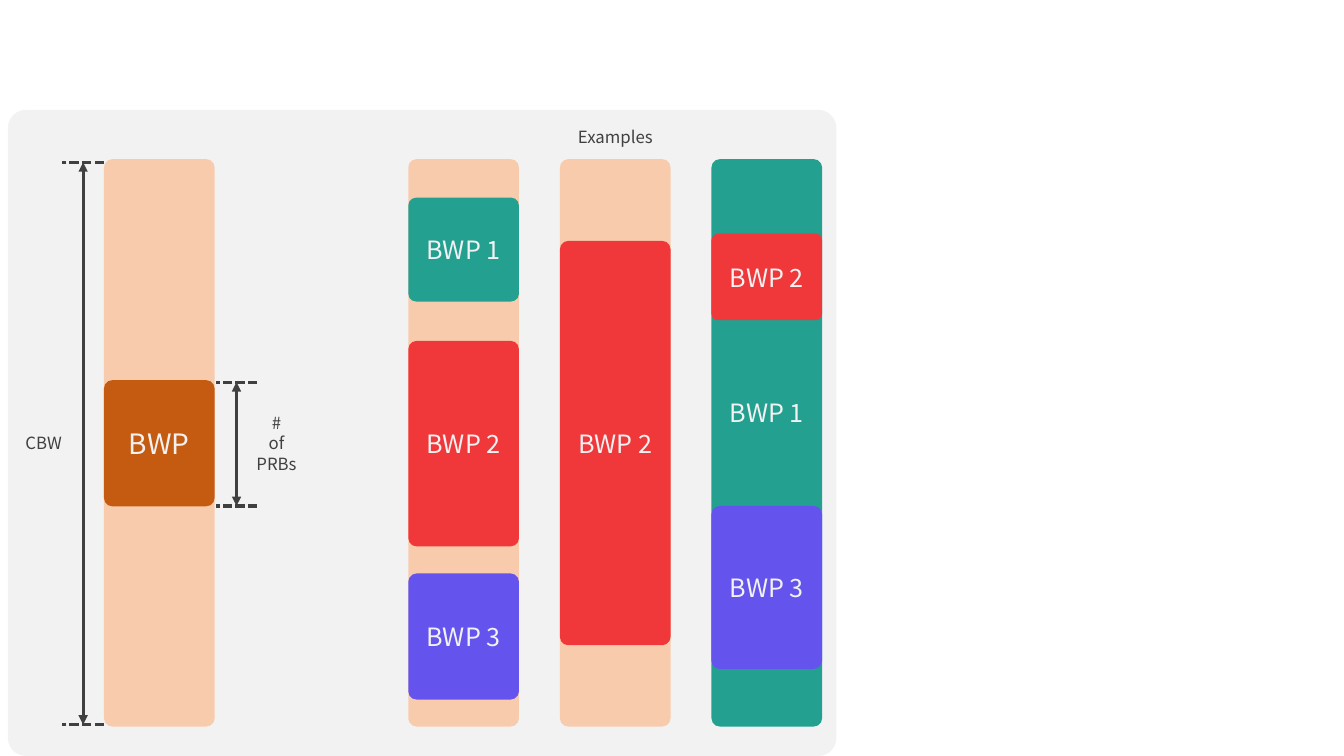
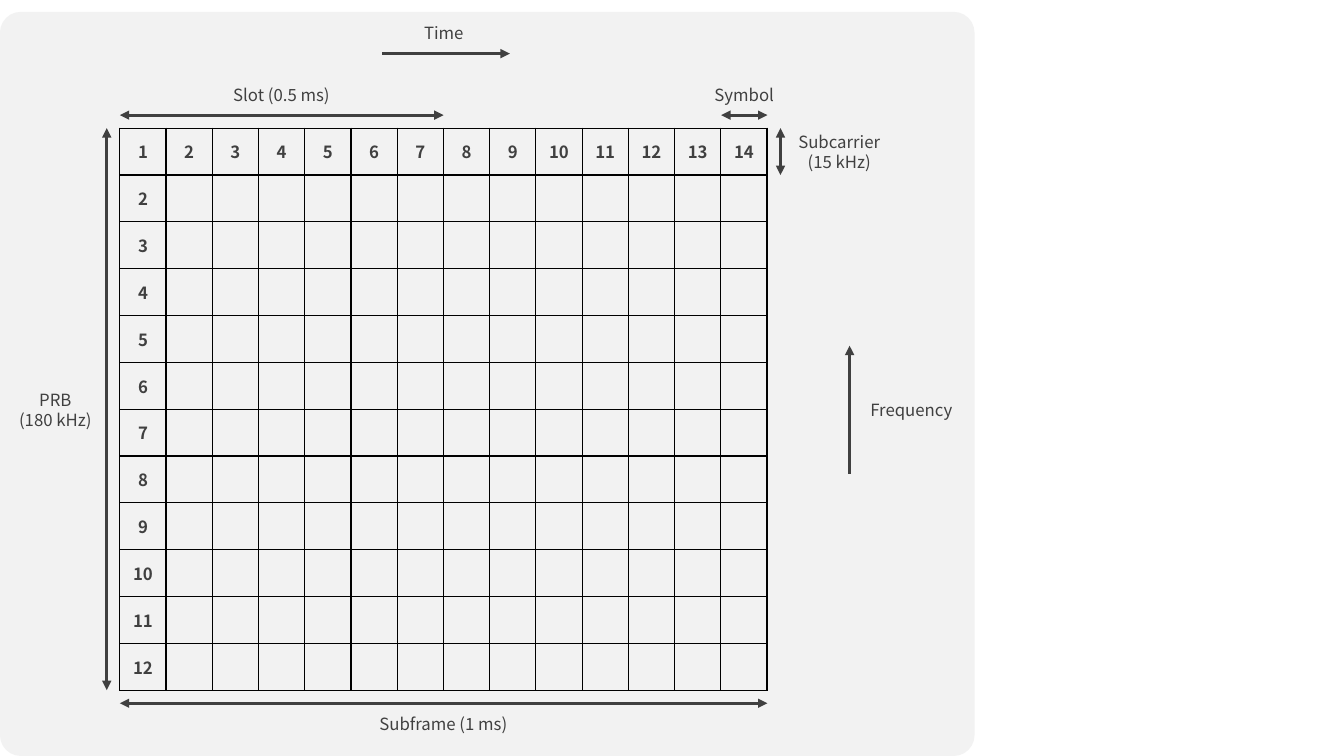
from lxml import etree
from pptx import Presentation
from pptx.dml.color import RGBColor
from pptx.enum import dml, shapes, text
from pptx.oxml import ns
from pptx.util import Cm, Pt

FONT = "Noto Sans CJK KR"
PANEL = RGBColor(0xF2, 0xF2, 0xF2)
INK = RGBColor(0x40, 0x40, 0x40)
GRID = RGBColor(0x00, 0x00, 0x00)
PEACH = RGBColor(0xF8, 0xCB, 0xAD)
BROWN = RGBColor(0xC5, 0x5A, 0x11)
RED = RGBColor(0xF0, 0x38, 0x3B)
TEAL = RGBColor(0x24, 0xA0, 0x91)
VIOLET = RGBColor(0x64, 0x54, 0xED)

FRAME = {
    "word_wrap": True,
    "vertical_anchor": text.MSO_ANCHOR.MIDDLE,
    "margin_left": 0,
    "margin_right": 0,
    "margin_top": 0,
    "margin_bottom": 0,
}
CAPTION = {"name": FONT, "size": Pt(12)}
CELL = {"name": FONT, "size": Pt(12), "bold": True}
BLOCK = {"name": FONT, "size": Pt(18)}
LARGE_BLOCK = {"name": FONT, "size": Pt(20)}

PANEL_ROUNDING = 0.028
BAR_ROUNDING = 0.076
BAR_TOP, BAR_WIDTH, BAR_HEIGHT = 4.01, 2.79, 14.3
CHANNEL_LEFT = 2.62
EXAMPLES_LEFT, EXAMPLES_PITCH = 10.29, 3.82
EXAMPLES = [
    (PEACH, [("BWP 1", TEAL, 4.98, 2.62), ("BWP 2", RED, 8.59, 5.18),
             ("BWP 3", VIOLET, 14.45, 3.18)]),
    (PEACH, [("BWP 2", RED, 6.07, 10.19)]),
    (TEAL, [("BWP 2", RED, 5.89, 2.18), ("BWP 3", VIOLET, 12.75, 4.11)]),
]

COLUMNS, ROWS = 14, 12
GRID_LEFT, GRID_TOP, GRID_WIDTH, GRID_HEIGHT = 3.02, 3.23, 16.32, 14.16
ARROW_GAP = 0.33


def set_all(target, values):
    for name, value in values.items():
        setattr(target, name, value)


def write(frame, content, font, color):
    for index, line in enumerate(content.split("\n")):
        paragraph = frame.add_paragraph() if index else frame.paragraphs[0]
        paragraph.alignment = text.PP_ALIGN.CENTER
        run = paragraph.add_run()
        run.text = line
        set_all(run.font, font)
        run.font.color.rgb = color


def add_label(slide, content, left, top, width, height, font=CAPTION, color=INK):
    box = slide.shapes.add_textbox(Cm(left), Cm(top), Cm(width), Cm(height))
    set_all(box.text_frame, FRAME)
    write(box.text_frame, content, font, color)


def add_rounded(slide, left, top, width, height, color, rounding):
    shape = slide.shapes.add_shape(
        shapes.MSO_SHAPE.ROUNDED_RECTANGLE, Cm(left), Cm(top), Cm(width), Cm(height))
    shape.adjustments[0] = rounding
    shape.shadow.inherit = False
    shape.fill.solid()
    shape.fill.fore_color.rgb = color
    shape.line.fill.background()
    return shape


def add_bar(slide, left, color):
    add_rounded(slide, left, BAR_TOP, BAR_WIDTH, BAR_HEIGHT, color, BAR_ROUNDING)


def add_block(slide, content, left, top, height, color, font=BLOCK):
    shape = add_rounded(slide, left, top, BAR_WIDTH, height, color, BAR_ROUNDING)
    set_all(shape.text_frame, FRAME)
    write(shape.text_frame, content, font, PANEL)


def add_line(slide, start, end, arrows=(), dash=None):
    points = [Cm(value) for value in (*start, *end)]
    connector = slide.shapes.add_connector(shapes.MSO_CONNECTOR.STRAIGHT, *points)
    connector.line.color.rgb = INK
    set_all(connector.line, {"width": Pt(2.25), "dash_style": dash})
    outline = connector.line._get_or_add_ln()
    for arrow in arrows:
        etree.SubElement(outline, ns.qn(f"a:{arrow}"), type="triangle")
    etree.SubElement(connector._element.spPr, ns.qn("a:effectLst"))


def add_double_arrow(slide, start, end):
    add_line(slide, start, end, ("headEnd", "tailEnd"))


def add_extent(slide, left, right, top, bottom):
    for level in (top, bottom):
        add_line(slide, (right, level), (left, level), dash=dml.MSO_LINE.SQUARE_DOT)
    middle = (left + right) / 2
    add_double_arrow(slide, (middle, top), (middle, bottom))


def set_borders(cell):
    properties = cell._tc.get_or_add_tcPr()
    for position, side in enumerate(("lnL", "lnR", "lnT", "lnB")):
        border = etree.Element(ns.qn(f"a:{side}"), w=str(Pt(1)))
        fill = etree.SubElement(border, ns.qn("a:solidFill"))
        etree.SubElement(fill, ns.qn("a:srgbClr"), val=str(GRID))
        properties.insert(position, border)


def add_resource_grid(slide):
    table = slide.shapes.add_table(
        ROWS, COLUMNS, Cm(GRID_LEFT), Cm(GRID_TOP), Cm(GRID_WIDTH), Cm(GRID_HEIGHT)).table
    set_all(table, {"first_row": False, "horz_banding": False})
    for column in table.columns:
        column.width = Cm(GRID_WIDTH / COLUMNS)
    for row in table.rows:
        row.height = Cm(GRID_HEIGHT / ROWS)
    for row in range(ROWS):
        for column in range(COLUMNS):
            cell = table.cell(row, column)
            cell.fill.background()
            cell.vertical_anchor = text.MSO_ANCHOR.MIDDLE
            set_borders(cell)
            if row == 0 or column == 0:
                write(cell.text_frame, str(row + column + 1), CELL, INK)


def add_bandwidth_slide(slide):
    add_rounded(slide, 0.2, 2.77, 20.88, 16.28, PANEL, PANEL_ROUNDING)
    add_bar(slide, CHANNEL_LEFT, PEACH)
    add_block(slide, "BWP", CHANNEL_LEFT, 9.58, 3.18, BROWN, LARGE_BLOCK)
    add_label(slide, "CBW", 0.2, 10.08, 1.8, 2.18)
    add_extent(slide, 1.57, CHANNEL_LEFT, 4.09, 18.26)
    add_extent(slide, 5.44, 6.48, 9.63, 12.75)
    add_label(slide, "#\nof\nPRBs", 6.07, 9.58, 1.8, 3.18)
    for index, (bar_color, blocks) in enumerate(EXAMPLES):
        left = EXAMPLES_LEFT + index * EXAMPLES_PITCH
        add_bar(slide, left, bar_color)
        for content, color, top, height in blocks:
            add_block(slide, content, left, top, height, color)
    add_label(slide, "BWP 1", left, 9.3, BAR_WIDTH, 2.18, BLOCK, PANEL)
    add_label(slide, "Examples", 12.78, 3, 5.46, 0.89)


def add_grid_slide(slide):
    right, bottom = GRID_LEFT + GRID_WIDTH, GRID_TOP + GRID_HEIGHT
    column, row = GRID_WIDTH / COLUMNS, GRID_HEIGHT / ROWS
    above, below = GRID_TOP - ARROW_GAP, bottom + ARROW_GAP
    before, after = GRID_LEFT - ARROW_GAP, right + ARROW_GAP

    add_rounded(slide, 0, 0.3, 24.56, 18.75, PANEL, PANEL_ROUNDING)
    add_resource_grid(slide)
    for start, end in [
        ((before, GRID_TOP), (before, bottom)),
        ((GRID_LEFT + 7 * column, above), (GRID_LEFT, above)),
        ((right, above), (right - column, above)),
        ((after, GRID_TOP), (after, GRID_TOP + row)),
        ((right, below), (GRID_LEFT, below)),
    ]:
        add_double_arrow(slide, start, end)
    add_line(slide, (9.63, 1.35), (12.85, 1.35), ["tailEnd"])
    add_line(slide, (21.41, 11.94), (21.41, 8.71), ["tailEnd"])
    for content, left, top, width in [
        ("PRB\n(180 kHz)", 0.1, 9.8, 2.59),
        ("Slot (0.5 ms)", 4.57, 1.88, 5.05),
        ("Symbol", 16.23, 1.88, 5.05),
        ("Subcarrier\n(15 kHz)", 19.69, 3.3, 2.92),
        ("Subframe (1 ms)", 7.9, 17.73, 6.55),
        ("Time", 8.66, 0.3, 5.05),
        ("Frequency", 21.41, 9.8, 3.12),
    ]:
        add_label(slide, content, left, top, width, 1.04)


def main():
    presentation = Presentation()
    set_all(presentation, {"slide_width": Cm(33.87), "slide_height": Cm(19.05)})
    blank = presentation.slide_layouts[6]
    for fill_slide in (add_bandwidth_slide, add_grid_slide):
        fill_slide(presentation.slides.add_slide(blank))
    presentation.save("out.pptx")


main()
